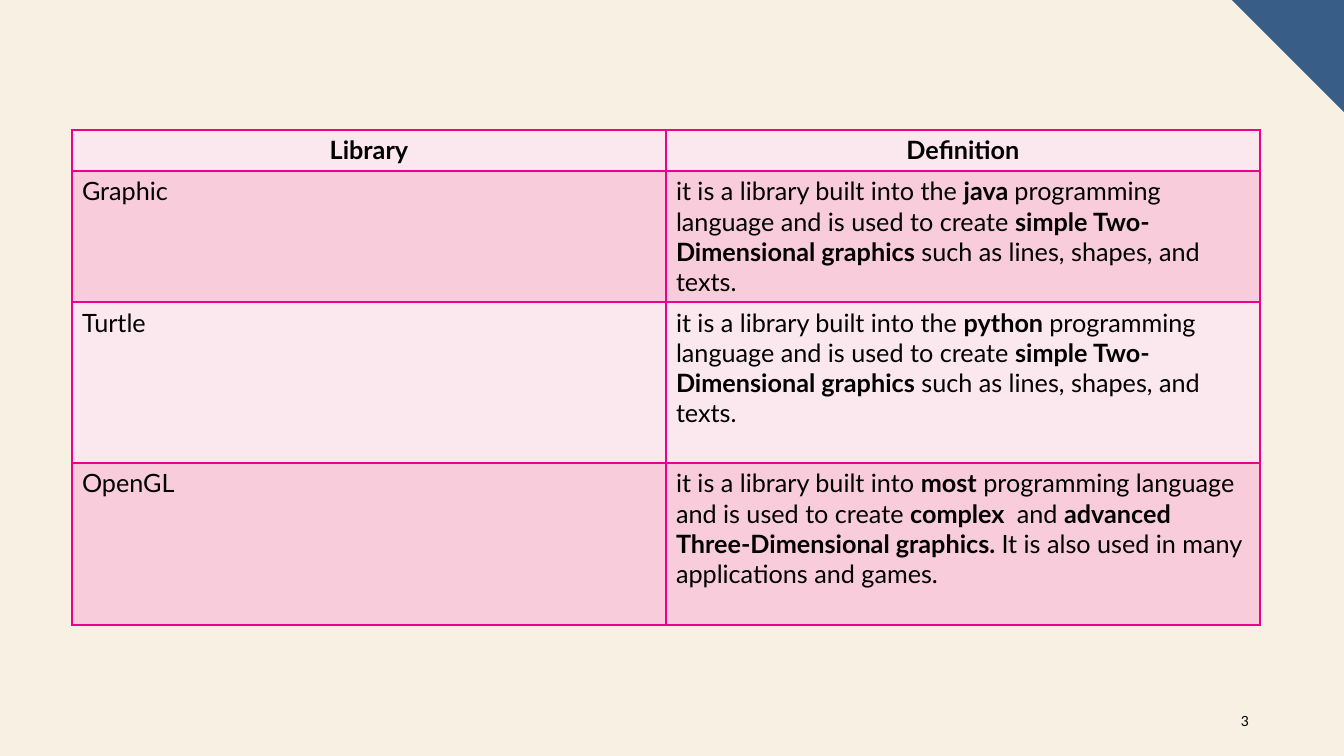
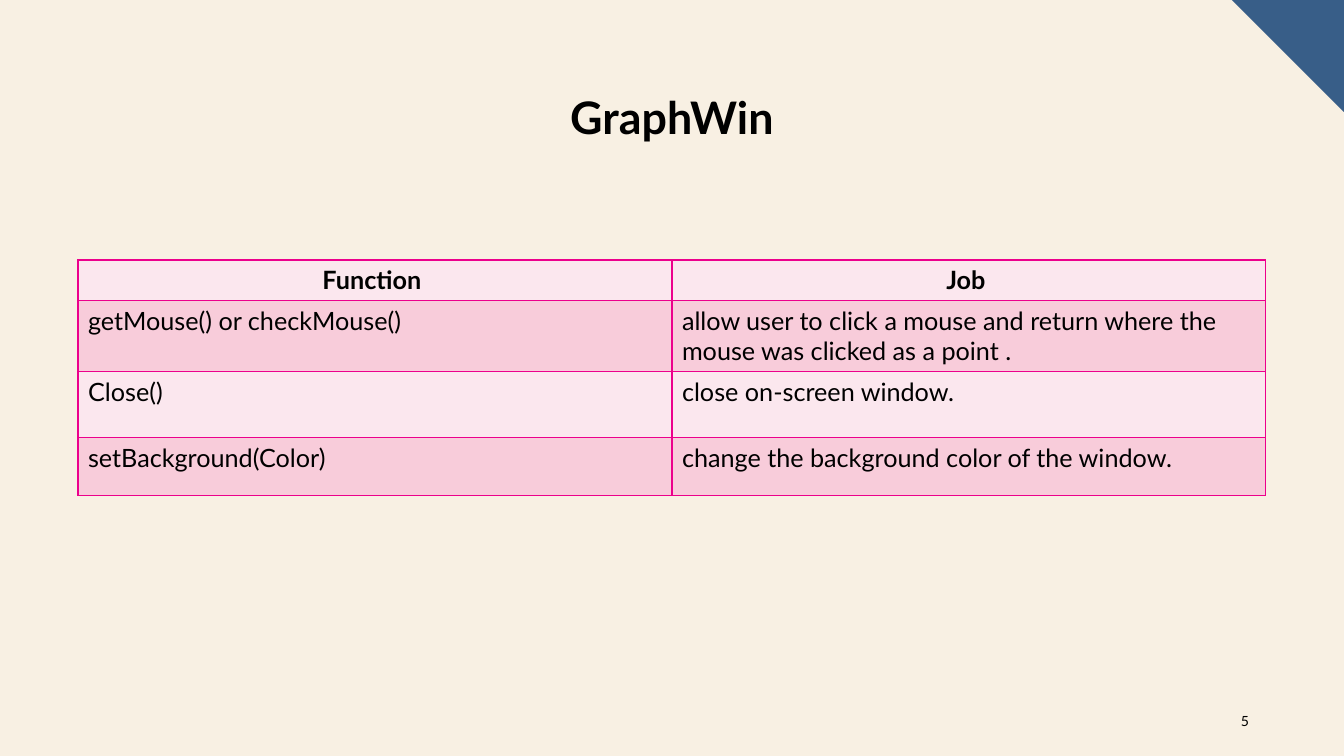
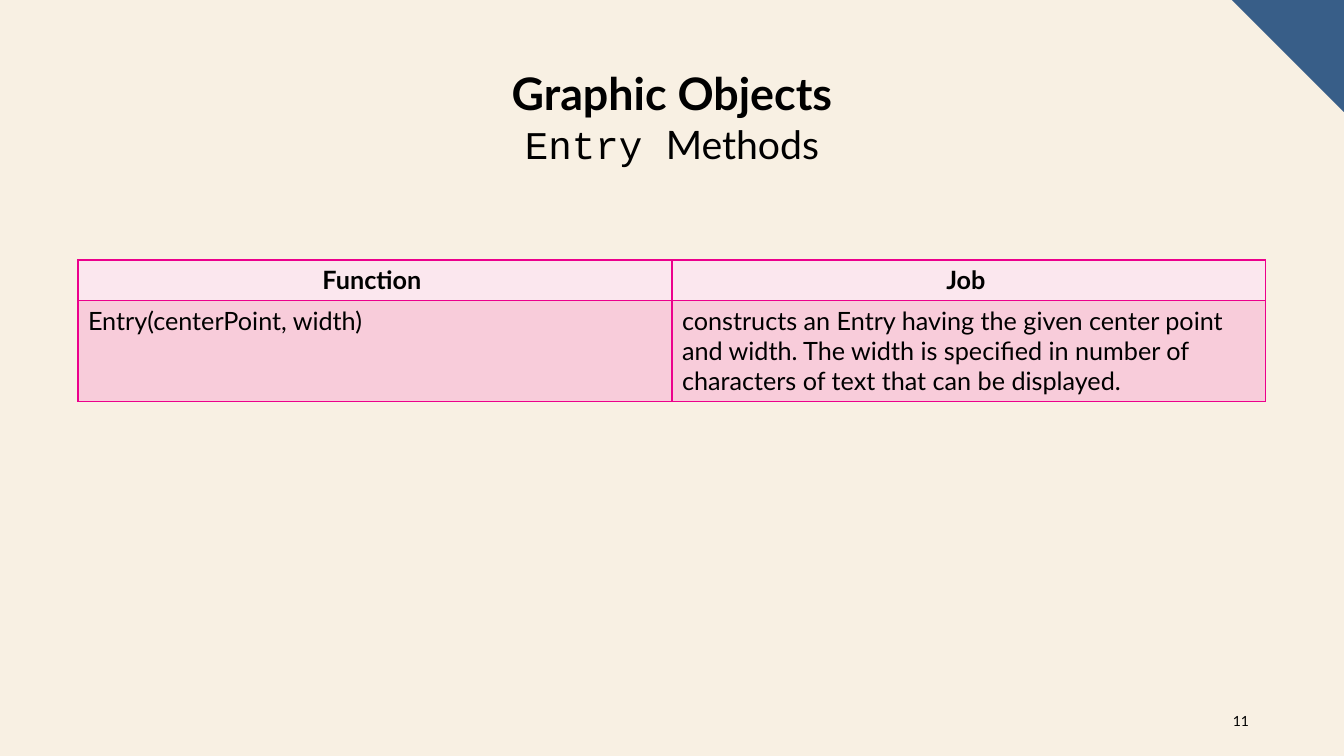
from lxml import etree
from pptx import Presentation
from pptx.dml.color import RGBColor
from pptx.enum.text import MSO_ANCHOR, PP_ALIGN
from pptx.oxml.ns import qn
from pptx.util import Emu, Pt

MIDDLE = MSO_ANCHOR.MIDDLE
LEFT, CENTER, RIGHT = PP_ALIGN.LEFT, PP_ALIGN.CENTER, PP_ALIGN.RIGHT

# Shared look
BACKGROUND = RGBColor(0xF8, 0xF0, 0xE3)
CORNER_BLUE = RGBColor(0x38, 0x5E, 0x88)
BORDER_PINK = RGBColor(0xEC, 0x00, 0x8C)
ROW_FILLS = (RGBColor(0xFB, 0xE7, 0xEE), RGBColor(0xF8, 0xCC, 0xDA))
BLACK = RGBColor(0, 0, 0)
FONT, CODE_FONT = "Lato", "Courier New"
TITLE_SIZE, SUBTITLE_SIZE, TABLE_SIZE, NUMBER_SIZE = 32, 28, 18, 10

# Lengths in px
SLIDE_WIDTH, SLIDE_HEIGHT = 1344, 756
EMU_PER_PX = 12192000 / SLIDE_WIDTH
CORNER = 112
COLUMN_WIDTH = 594
TITLE_BOX = (215, 88, 914, 57)
NUMBER_BOX = (1209, 701, 50, 40)

# Content: in a cell given as a tuple, every second part is bold
SLIDES = [
    {
        "number": 3,
        "title": [],
        "origin": (72, 130),
        "row_heights": (41, 131, 161, 162),
        "rows": [
            ("Library", "Definition"),
            ("Graphic", (
                "it is a library built into the ", "java ",
                "programming language and is used to create ",
                "simple Two-Dimensional graphics",
                " such as lines, shapes, and texts.")),
            ("Turtle", (
                "it is a library built into the ", "python ",
                "programming language and is used to create ",
                "simple Two-Dimensional graphics",
                " such as lines, shapes, and texts.")),
            ("OpenGL", (
                "it is a library built into ", "most",
                " programming language and is used to create ", "complex  ",
                "and ", "advanced Three-Dimensional graphics. ",
                "It is also used in many applications and games.")),
        ],
    },
    {
        "number": 5,
        "title": [[("GraphWin", TITLE_SIZE, True, FONT)]],
        "origin": (78, 260),
        "row_heights": (40, 71, 66, 58),
        "rows": [
            ("Function ", "Job "),
            ("getMouse() or checkMouse()",
             "allow user to click a mouse and return where the mouse was "
             "clicked as a point ."),
            ("Close()", "close on-screen window."),
            ("setBackground(Color)",
             "change the background color of the window."),
        ],
    },
    {
        "number": 11,
        "title": [
            [("Graphic Objects", TITLE_SIZE, True, FONT)],
            [("Entry ", SUBTITLE_SIZE, False, CODE_FONT),
             ("Methods", SUBTITLE_SIZE, False, FONT)],
        ],
        "origin": (78, 260),
        "row_heights": (40, 101),
        "rows": [
            ("Function ", "Job "),
            ("Entry(centerPoint, width)",
             "constructs an Entry having the given center point and width. "
             "The width is specified in number of characters of text that "
             "can be displayed."),
        ],
    },
]


def px(length):
    return Emu(round(length * EMU_PER_PX))


def write_paragraph(paragraph, runs, alignment):
    paragraph.alignment = alignment
    for text, size, bold, font_name in runs:
        run = paragraph.add_run()
        run.text = text
        run.font.size = Pt(size)
        run.font.bold = bold
        run.font.name = font_name
        run.font.color.rgb = BLACK


def add_text(slide, box, paragraphs, alignment):
    frame = slide.shapes.add_textbox(*map(px, box)).text_frame
    frame.word_wrap = True
    frame.vertical_anchor = MIDDLE
    for index, runs in enumerate(paragraphs):
        paragraph = frame.add_paragraph() if index else frame.paragraphs[0]
        write_paragraph(paragraph, runs, alignment)


def add_corner(slide):
    builder = slide.shapes.build_freeform(px(SLIDE_WIDTH - CORNER), 0)
    builder.add_line_segments(
        [(px(SLIDE_WIDTH), 0), (px(SLIDE_WIDTH), px(CORNER))], close=True)
    corner = builder.convert_to_shape()
    corner.shadow.inherit = False
    corner.fill.solid()
    corner.fill.fore_color.rgb = CORNER_BLUE
    corner.line.fill.background()


def set_borders(cell):
    # Border lines have to stand before the fill in the cell properties
    properties = cell._tc.get_or_add_tcPr()
    for index, side in enumerate(("a:lnL", "a:lnR", "a:lnT", "a:lnB")):
        line = etree.Element(qn(side), w=str(Pt(1)))
        fill = etree.SubElement(line, qn("a:solidFill"))
        etree.SubElement(fill, qn("a:srgbClr"), val=str(BORDER_PINK))
        properties.insert(index, line)


def add_table(slide, origin, row_heights, rows):
    columns = len(rows[0])
    table = slide.shapes.add_table(
        len(rows), columns, px(origin[0]), px(origin[1]),
        px(columns * COLUMN_WIDTH), px(sum(row_heights))).table
    table.first_row = table.horz_banding = False
    for column in table.columns:
        column.width = px(COLUMN_WIDTH)
    for row_index, (height, texts) in enumerate(zip(row_heights, rows)):
        table.rows[row_index].height = px(height)
        header = row_index == 0
        for column_index, content in enumerate(texts):
            cell = table.cell(row_index, column_index)
            cell.fill.solid()
            cell.fill.fore_color.rgb = ROW_FILLS[row_index % 2]
            set_borders(cell)
            parts = (content,) if isinstance(content, str) else content
            runs = [(part, TABLE_SIZE, header or index % 2 == 1, FONT)
                    for index, part in enumerate(parts)]
            write_paragraph(cell.text_frame.paragraphs[0], runs,
                            CENTER if header else LEFT)


def main():
    presentation = Presentation()
    presentation.slide_width = px(SLIDE_WIDTH)
    presentation.slide_height = px(SLIDE_HEIGHT)
    blank = presentation.slide_layouts[6]
    for content in SLIDES:
        slide = presentation.slides.add_slide(blank)
        slide.background.fill.solid()
        slide.background.fill.fore_color.rgb = BACKGROUND
        add_corner(slide)
        number = [(str(content["number"]), NUMBER_SIZE, False, FONT)]
        add_text(slide, NUMBER_BOX, [number], RIGHT)
        add_table(slide, content["origin"], content["row_heights"],
                  content["rows"])
        if content["title"]:
            add_text(slide, TITLE_BOX, content["title"], CENTER)
    presentation.save("out.pptx")


if __name__ == "__main__":
    main()
